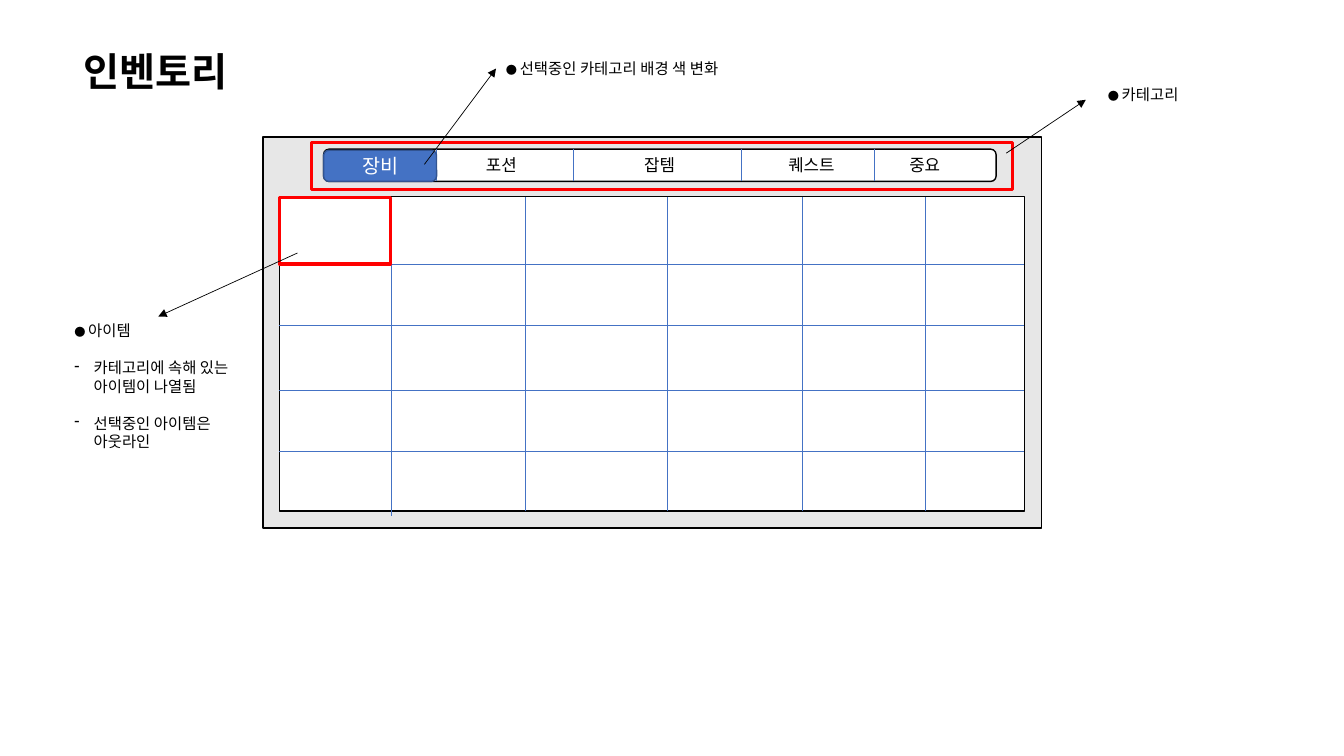
import pptx
import pptx.util
import pptx.dml.color
import pptx.enum.shapes
import pptx.enum.text
import pptx.oxml
import pptx.oxml.ns
from lxml import etree

Inches = pptx.util.Inches
Pt = pptx.util.Pt
Kind = pptx.enum.shapes.MSO_SHAPE
Align = pptx.enum.text.PP_ALIGN
Anchor = pptx.enum.text.MSO_ANCHOR

COLORS = {"black": "000000", "white": "FFFFFF", "panel": "D9D9D9",
          "blue": "4472C4", "navy": "325491", "red": "FF0000"}
FONT = "Noto Sans CJK KR"


def rgb(name):
    return pptx.dml.color.RGBColor.from_string(COLORS[name])


def sub(node, tag, **attrs):
    return etree.SubElement(node, pptx.oxml.ns.qn(tag), attrs)


def write(para, text, size=11, color="black", font=FONT, bold=False):
    """Add a run; Hangul takes its face from the East Asian font."""
    run = para.add_run()
    run.text = text
    run.font.size = Pt(size)
    run.font.bold = bold
    run.font.name = font
    run.font.color.rgb = rgb(color)
    sub(run.font._element, "a:ea", typeface=FONT)
    para.line_spacing = Pt(round(size * 1.2, 1))


class Sketch:
    """Holds the slide and draws the elements of the mock-up on it."""

    def __init__(self, deck):
        self.slide = deck.slides.add_slide(deck.slide_layouts[6])
        self.shapes = self.slide.shapes

    def block(self, box, fill=None, line="black", width=1,
              kind=Kind.RECTANGLE, alpha=None):
        shape = self.shapes.add_shape(kind, *map(Inches, box))
        shape.shadow.inherit = False
        if fill:
            shape.fill.solid()
            shape.fill.fore_color.rgb = rgb(fill)
        else:
            shape.fill.background()
        if alpha:
            tint = shape._element.spPr.find(".//" + pptx.oxml.ns.qn("a:srgbClr"))
            sub(tint, "a:alpha", val=str(alpha * 1000))
        shape.line.color.rgb = rgb(line)
        shape.line.width = Pt(width)
        return shape

    def line(self, x1, y1, x2, y2, color="blue", arrow=False):
        rule = self.shapes.add_connector(
            pptx.enum.shapes.MSO_CONNECTOR.STRAIGHT, *map(Inches, (x1, y1, x2, y2)))
        rule.line.color.rgb = rgb(color)
        rule.line.width = Pt(0.5)
        if arrow:
            sub(rule.line._get_or_add_ln(), "a:tailEnd", type="triangle")
        sub(rule._element.spPr, "a:effectLst")

    def label(self, box, text, **style):
        frame = self.shapes.add_textbox(*map(Inches, box)).text_frame
        frame.word_wrap = True
        frame.auto_size = pptx.enum.text.MSO_AUTO_SIZE.SHAPE_TO_FIT_TEXT
        if text:
            write(frame.paragraphs[0], text, **style)
        return frame

    def note(self, box, head, items=()):
        """A dotted heading with dashed items below it."""
        frame = self.label(box, "")
        write(frame.paragraphs[0], "● ", size=8)
        write(frame.paragraphs[0], head)
        for item in items:
            para = frame.add_paragraph()
            props = para._p.get_or_add_pPr()
            props.set("marL", str(Inches(0.19)))
            props.set("indent", str(-Inches(0.19)))
            sub(props, "a:buChar", char="-")
            para.space_before = Pt(13.2)
            write(para, item)


def main():
    deck = pptx.Presentation()
    deck.slide_width, deck.slide_height = Inches(13.33), Inches(7.5)
    art = Sketch(deck)

    art.label((0.73, 0.42, 3.26, 0.57), "인벤토리", size=28, font="Arial", bold=True)
    art.block((2.61, 1.36, 7.72, 3.88), "panel", alpha=61)

    # Category bar
    art.block((3.21, 1.48, 6.67, 0.32), "white", kind=Kind.ROUNDED_RECTANGLE)
    for x in (4.33, 5.69, 7.35, 8.67):
        art.line(x, 1.48, x, 1.8)
    tabs = [("포션", 4.72, 0.65), ("잡템", 6.29, 0.65),
            ("퀘스트", 7.72, 0.85), ("중요", 8.92, 0.68)]
    for name, x, width in tabs:
        art.label((x, 1.49, width, 0.3), name, size=12)

    # Item grid
    left, top, width, height = grid = (2.77, 1.95, 7.39, 3.12)
    art.block(grid, "white")
    for x, drop in ((3.88, 0.05), (5.21, 0), (6.62, 0), (7.96, 0), (9.18, 0)):
        art.line(x, top + drop, x, top + height + drop)
    for y in (2.62, 3.23, 3.87, 4.48):
        art.line(left, y, left + width, y)

    # Selected category and item
    tab = art.block((3.21, 1.49, 1.12, 0.31), "blue", "navy",
                    kind=Kind.ROUNDED_RECTANGLE)
    tab.text_frame.vertical_anchor = Anchor.MIDDLE
    para = tab.text_frame.paragraphs[0]
    para.alignment = Align.CENTER
    write(para, "장비", size=14, color="white")
    for box in ((2.77, 1.96, 1.1, 0.66), (3.09, 1.41, 6.95, 0.47)):
        art.block(box, line="red", width=2.25)

    # Callouts
    for ends in ((9.98, 1.52, 10.77, 0.99), (2.95, 2.51, 1.57, 3.14),
                 (4.21, 1.63, 4.92, 0.68)):
        art.line(*ends, color="black", arrow=True)
    art.note((10.89, 0.8, 1.05, 0.29), "카테고리")
    art.note((0.64, 3.14, 1.86, 1.4), "아이템",
             ["카테고리에 속해 있는 아이템이 나열됨", "선택중인 아이템은 아웃라인"])
    art.note((4.92, 0.54, 2.79, 0.29), "선택중인 카테고리 배경 색 변화")

    deck.save("out.pptx")


if __name__ == "__main__":
    main()
